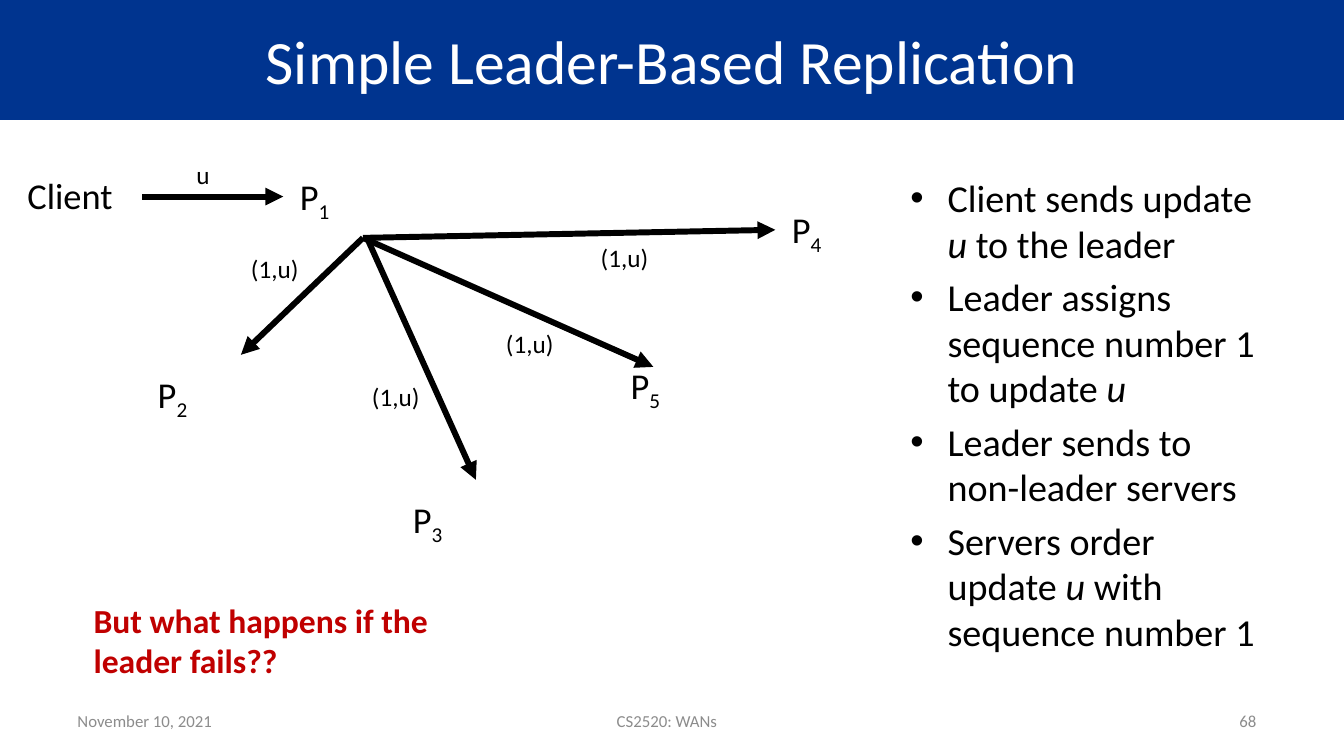
from dataclasses import dataclass
from lxml.etree import SubElement as Sub
from pptx import Presentation
from pptx.dml.color import RGBColor as Rgb
from pptx.enum.shapes import MSO_CONNECTOR as Link, MSO_SHAPE as Form
from pptx.enum.text import MSO_ANCHOR as Anchor, PP_ALIGN as Align
from pptx.oxml.ns import qn
from pptx.util import Inches, Pt


@dataclass(frozen=True)
class Theme:
    font: str = "Calibri"
    blue: str = "00348F"
    white: str = "FFFFFF"
    black: str = "000000"
    gray: str = "8C8C8C"
    red: str = "C00000"
    title: float = 44
    body: float = 27.2
    node: float = 26
    note: float = 24
    label: float = 18
    foot: float = 12
    line: float = 4.25


class Board:
    def __init__(self, slide, theme):
        self.slide = slide
        self.theme = theme

    def style(self, para, size, color, align=Align.LEFT, bold=False):
        para.alignment = align
        font = para.font
        font.name = self.theme.font
        font.size = Pt(size)
        font.bold = bold
        font.color.rgb = Rgb.from_string(color)

    def banner(self, text, *box):
        shape = self.slide.shapes.add_shape(Form.RECTANGLE, *map(Inches, box))
        shape.shadow.inherit = False
        shape.fill.solid()
        shape.fill.fore_color.rgb = Rgb.from_string(self.theme.blue)
        shape.line.fill.background()
        frame = shape.text_frame
        frame.text = text
        frame.vertical_anchor = Anchor.MIDDLE
        self.style(frame.paragraphs[0], self.theme.title, self.theme.white, Align.CENTER)

    def text(self, text, box, size, color=None, align=Align.LEFT, bold=False, anchor=Anchor.TOP):
        shape = self.slide.shapes.add_textbox(*map(Inches, box))
        frame = shape.text_frame
        frame.word_wrap = True
        frame.vertical_anchor = anchor
        para = frame.paragraphs[0]
        if text:
            para.add_run().text = text
        self.style(para, size, color or self.theme.black, align, bold)
        return shape

    def node(self, num, left, top):
        shape = self.text("P", (left, top, 0.62, 0.54), self.theme.node, align=Align.CENTER)
        run = shape.text_frame.paragraphs[0].add_run()
        run.text = str(num)
        run.font._element.set("baseline", "-25000")
        return shape

    def label(self, text, left, top):
        self.text(text, (left, top, 1.31, 0.4), self.theme.label)

    def footer(self, text, left, width, align):
        self.text(text, (left, 6.95, width, 0.4), self.theme.foot, self.theme.gray,
                  align, anchor=Anchor.MIDDLE)

    def arrow(self, start, end, goal=None):
        ends = map(Inches, (*start, *end))
        link = self.slide.shapes.add_connector(Link.STRAIGHT, *ends)
        link.line.width = Pt(self.theme.line)
        link.line.color.rgb = Rgb.from_string(self.theme.black)
        Sub(link.line._get_or_add_ln(), qn("a:tailEnd"), type="triangle")
        Sub(link._element.spPr, qn("a:effectLst"))
        if goal is not None:
            link.end_connect(goal, 1)

    def bullets(self, items, *box):
        frame = self.text("", box, self.theme.body).text_frame
        for i, item in enumerate(items):
            para = frame.add_paragraph() if i else frame.paragraphs[0]
            for j, part in enumerate(item.split("*")):
                if part:
                    run = para.add_run()
                    run.text = part
                    run.font.italic = j % 2 == 1
            props = para._p.get_or_add_pPr()
            for child in list(props):
                props.remove(child)
            props.set("marL", str(Inches(0.37)))
            props.set("indent", str(Inches(-0.37)))
            Sub(props, qn("a:buFont"), typeface="Arial")
            Sub(props, qn("a:buChar"), char="•")
            para.space_before = Pt(5.4 if i else 0)
            self.style(para, self.theme.body, self.theme.black)


def main():
    deck = Presentation()
    deck.slide_width, deck.slide_height = Inches(13.33), Inches(7.5)
    theme = Theme()
    board = Board(deck.slides.add_slide(deck.slide_layouts[6]), theme)

    board.banner("Simple Leader-Based Replication", 0, 0, 13.33, 1.19)
    board.bullets((
        "Client sends update *u* to the leader",
        "Leader assigns sequence number 1 to update *u*",
        "Leader sends to non-leader servers",
        "Servers order update *u* with sequence number 1",
    ), 8.93, 1.68, 3.74, 5.02)

    board.footer("November 10, 2021", 0.67, 1.64, Align.LEFT)
    board.footer("CS2520: WANs", 2.05, 9.13, Align.CENTER)
    board.footer("68", 11.17, 1.39, Align.RIGHT)

    spots = (2.81, 1.68), (1.4, 3.64), (3.93, 4.88), (7.69, 2.01), (6.09, 3.55)
    nodes = [board.node(num, *spot) for num, spot in enumerate(spots, 1)]

    board.text("Client", (0.16, 1.67, 1.07, 0.54), theme.node, align=Align.CENTER)
    board.arrow((1.41, 1.95), (2.81, 1.95), nodes[0])
    board.label("u", 1.85, 1.53)

    hub = 3.6, 2.36
    for start, end, goal, spot in (
        (hub, (2.39, 3.52), None, (2.39, 2.46)),
        ((3.64, 2.36), (4.72, 4.76), None, (3.59, 3.73)),
        (hub, (6.48, 3.64), None, (4.92, 3.21)),
        (hub, (7.69, 2.28), nodes[3], (5.86, 2.35)),
    ):
        board.arrow(start, end, goal)
        board.label("(1,u)", *spot)

    board.text("But what happens if the leader fails??", (0.83, 5.9, 4.29, 0.91),
               theme.note, theme.red, bold=True)
    deck.save("out.pptx")


if __name__ == "__main__":
    main()
